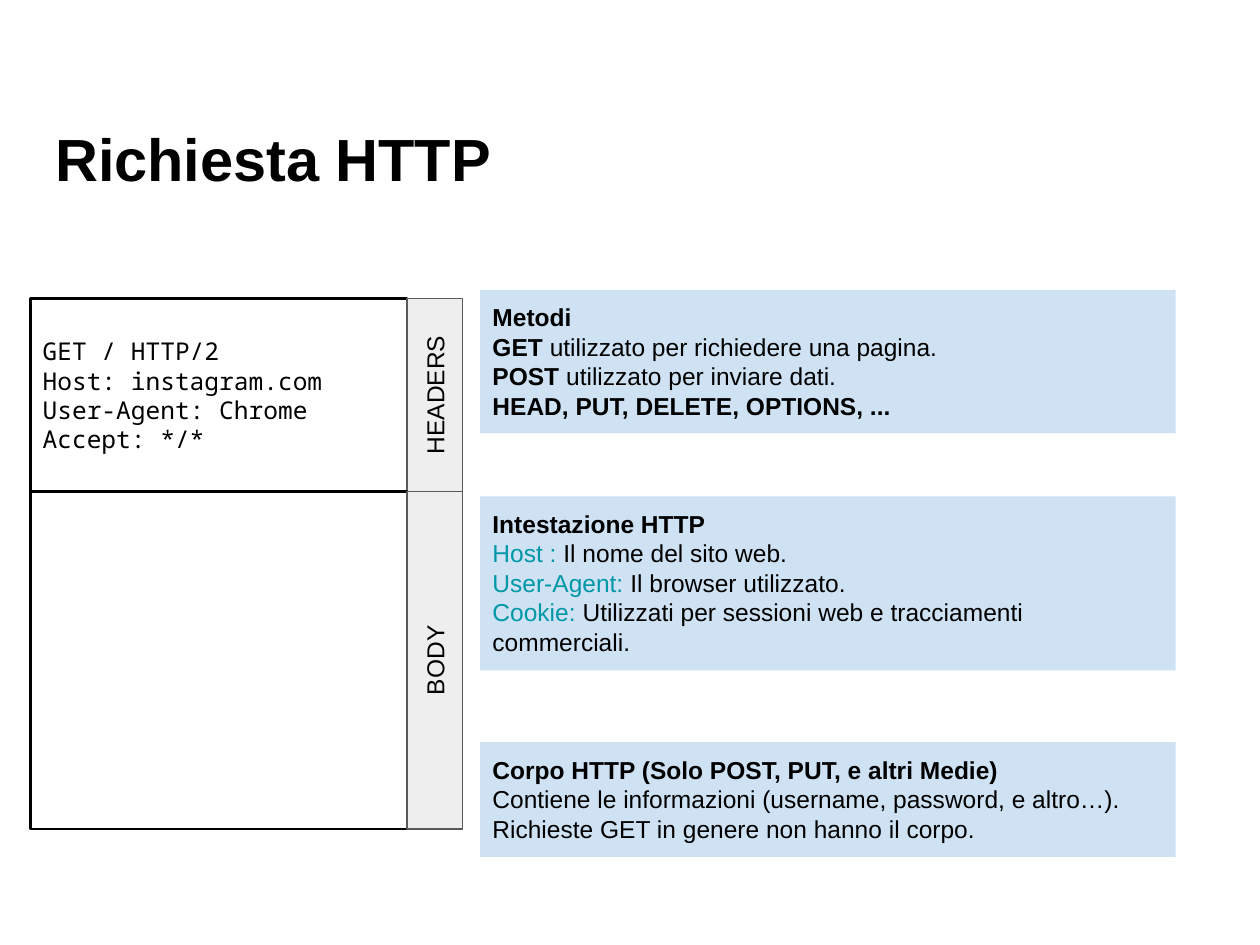
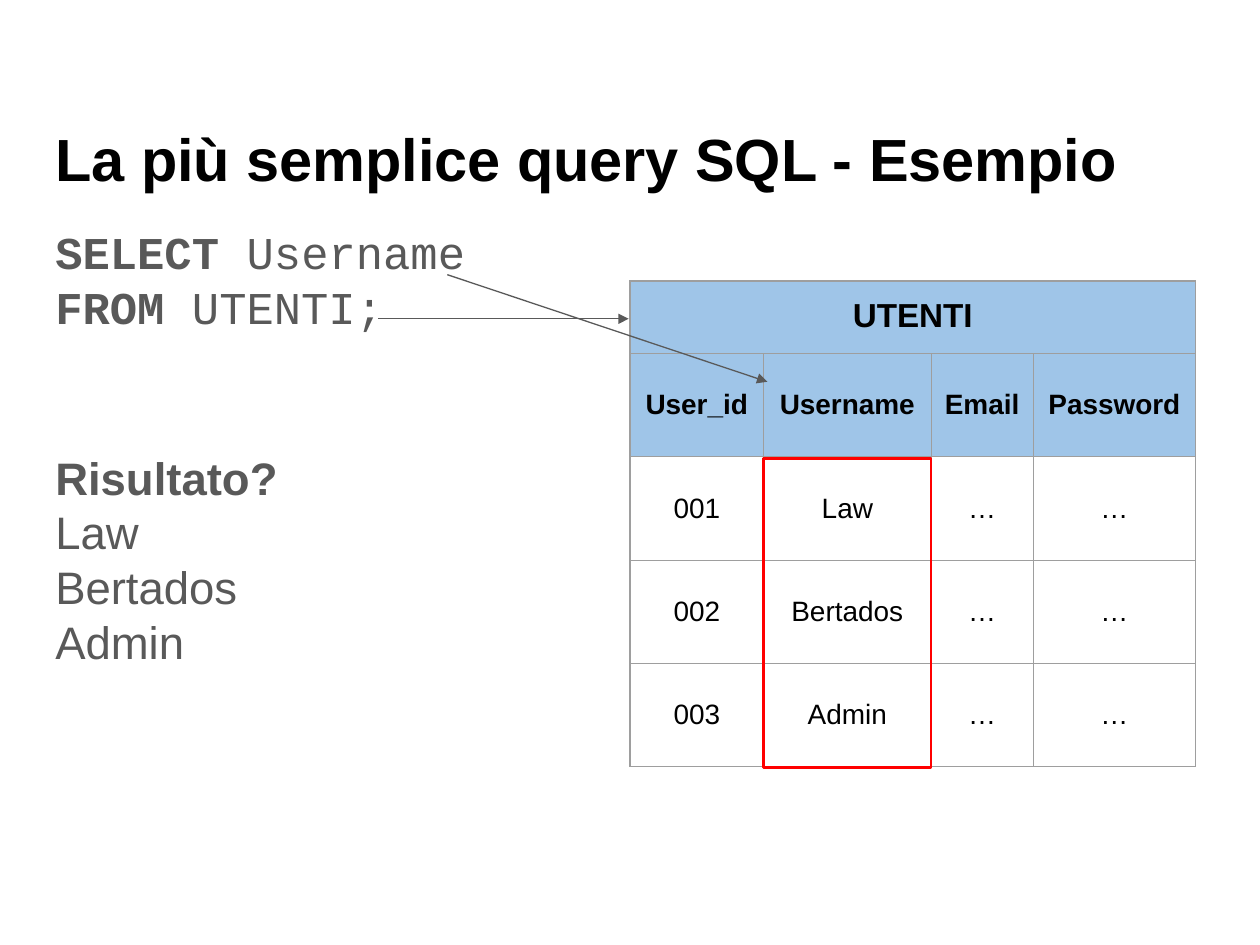
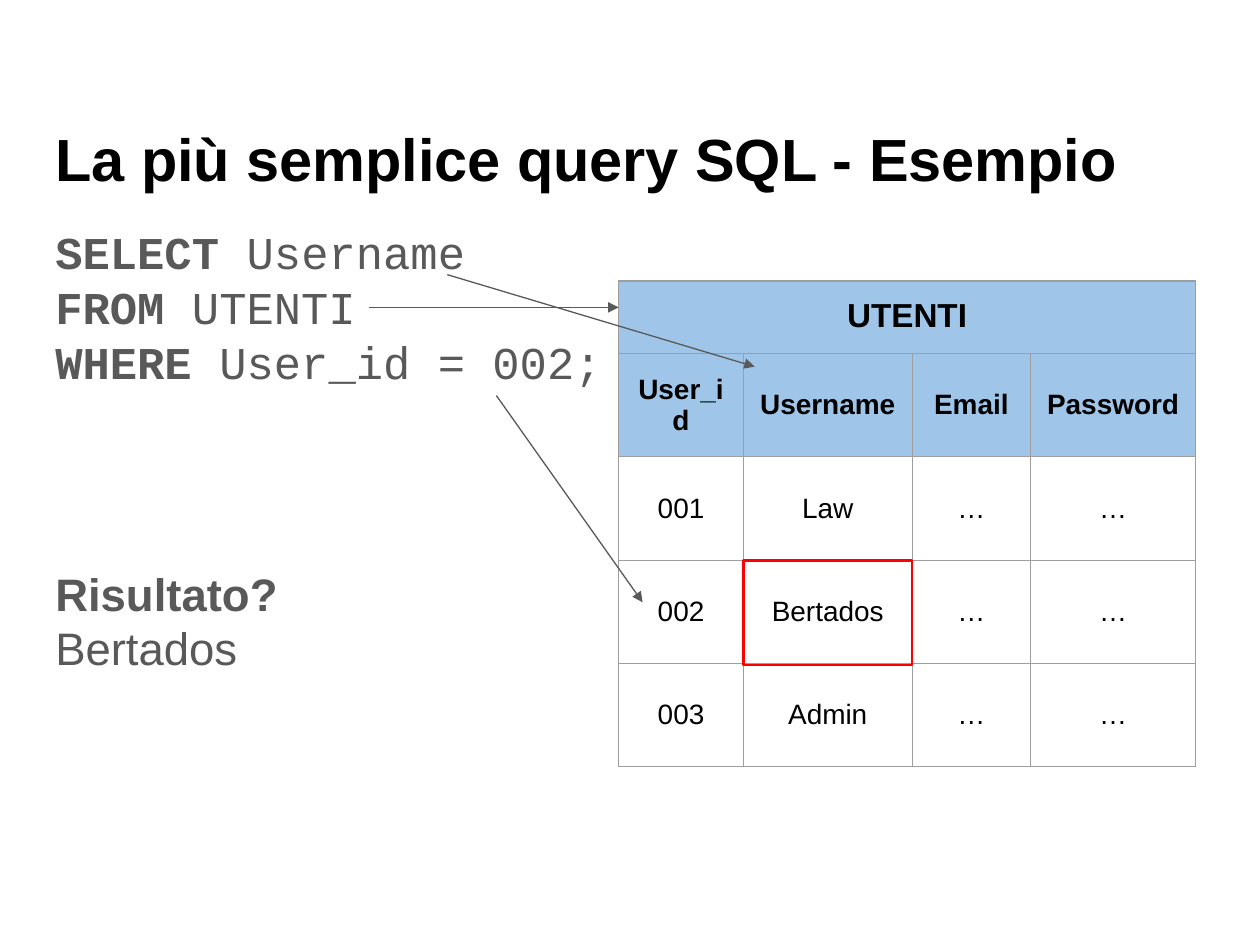
from lxml import etree
from pptx import Presentation
from pptx.dml.color import RGBColor
from pptx.enum.shapes import MSO_CONNECTOR, MSO_SHAPE
from pptx.enum.text import MSO_ANCHOR, PP_ALIGN
from pptx.oxml.ns import qn
from pptx.util import Inches, Pt

RECTANGLE = MSO_SHAPE.RECTANGLE
STRAIGHT = MSO_CONNECTOR.STRAIGHT
TOP, MIDDLE = MSO_ANCHOR.TOP, MSO_ANCHOR.MIDDLE
LEFT, CENTER = PP_ALIGN.LEFT, PP_ALIGN.CENTER

SANS, CODE, MONO = "Arial", "Courier New", "Noto Sans Mono"
BLACK, GRAY, RED, TEAL = "000000", "595959", "FF0000", "0097A7"
PALE_BLUE, HEADER_BLUE = "CFE2F3", "9FC5E8"
PALE_GRAY, BORDER_GRAY = "EEEEEE", "9E9E9E"
LINE_PITCH = 1.2
TEXT_LEFT, TEXT_WIDTH = 0.34, 4.72
QUERY_TITLE = "La più semplice query SQL - Esempio"
TABLE_TOP, ROW_HEIGHTS = 2.23, [0.53] + [0.82] * 4
USERS = [
    ["UTENTI", "", "", ""],
    ["User_id", "Username", "Email", "Password"],
    ["001", "Law", "…", "…"],
    ["002", "Bertados", "…", "…"],
    ["003", "Admin", "…", "…"],
]


def color(value):
    """Turn a hex string into a colour."""
    return RGBColor.from_string(value)


class Deck:
    """Holds the shared style and the current slide."""

    def __init__(self):
        """Start an empty 10 by 7.5 inch presentation."""
        self.presentation = Presentation()
        self.presentation.slide_width = Inches(10)
        self.presentation.slide_height = Inches(7.5)
        self.slide = None

    def new_slide(self, title):
        """Add a blank slide with its title."""
        self.slide = self.presentation.slides.add_slide(self.presentation.slide_layouts[6])
        self.text(TEXT_LEFT, 0.87, 9.32, 1.11, [[(title, True)]], 34)

    def style_run(self, run, size, font=SANS, bold=False, fill=BLACK):
        """Format one run."""
        run.font.name = font
        run.font.size = Pt(size)
        run.font.bold = bold
        run.font.color.rgb = color(fill)

    def fill_frame(self, frame, lines, size, font=SANS, fill=BLACK, anchor=TOP, align=LEFT):
        """Fill a text frame with lines of (text, bold, optional colour) runs."""
        frame.word_wrap = True
        frame.vertical_anchor = anchor
        frame.margin_left = frame.margin_right = Inches(0.1)
        frame.margin_top = frame.margin_bottom = Inches(0.1)
        for index, line in enumerate(lines):
            paragraph = frame.add_paragraph() if index else frame.paragraphs[0]
            paragraph.alignment = align
            paragraph.line_spacing = Pt(size * LINE_PITCH)
            for text, bold, *own_color in line:
                run = paragraph.add_run()
                run.text = text
                self.style_run(run, size, font, bold, own_color[0] if own_color else fill)

    def text(self, left, top, width, height, lines, size, font=SANS, fill=BLACK):
        """Add a text box."""
        box = self.slide.shapes.add_textbox(
            Inches(left), Inches(top), Inches(width), Inches(height))
        self.fill_frame(box.text_frame, lines, size, font, fill)

    def box(self, left, top, width, height, fill=None, line=None, weight=1.5):
        """Add a rectangle and return it."""
        shape = self.slide.shapes.add_shape(
            RECTANGLE, Inches(left), Inches(top), Inches(width), Inches(height))
        shape.shadow.inherit = False
        if fill:
            shape.fill.solid()
            shape.fill.fore_color.rgb = color(fill)
        else:
            shape.fill.background()
        if line:
            shape.line.color.rgb = color(line)
            shape.line.width = Pt(weight)
        else:
            shape.line.fill.background()
        return shape

    def note(self, top, height, lines):
        """Add a pale blue explanation box."""
        shape = self.box(3.81, top, 5.52, height, PALE_BLUE)
        self.fill_frame(shape.text_frame, lines, 14)

    def message_part(self, top, height, label, lines):
        """Add one part of the HTTP message with its upright label."""
        left, width, label_width = 0.24, 2.99, 0.44
        part = self.box(left, top, width, height, line=BLACK)
        self.fill_frame(part.text_frame, lines, 14, MONO, anchor=MIDDLE)
        center = left + width + label_width / 2
        tab = self.box(center - height / 2, top + (height - label_width) / 2,
                       height, label_width, PALE_GRAY, GRAY, 0.75)
        tab.rotation = 270
        self.fill_frame(tab.text_frame, [[(label, False)]], 14, anchor=MIDDLE, align=CENTER)

    def arrow(self, start, end):
        """Add a thin line with an arrowhead at its end."""
        connector = self.slide.shapes.add_connector(
            STRAIGHT, *(Inches(value) for value in (*start, *end)))
        connector.line.color.rgb = color(GRAY)
        connector.line.width = Pt(0.75)
        properties = connector._element.spPr
        etree.SubElement(properties.find(qn("a:ln")), qn("a:tailEnd"), type="triangle")
        etree.SubElement(properties, qn("a:effectLst"))

    def cell_borders(self, cell):
        """Draw the four borders of a cell."""
        properties = cell._tc.get_or_add_tcPr()
        for side in ("a:lnL", "a:lnR", "a:lnT", "a:lnB"):
            border = etree.SubElement(properties, qn(side), w=str(Pt(0.75)))
            solid = etree.SubElement(border, qn("a:solidFill"))
            etree.SubElement(solid, qn("a:srgbClr"), val=BORDER_GRAY)

    def users_table(self, left, widths):
        """Add the table of users."""
        table = self.slide.shapes.add_table(
            len(USERS), len(widths), Inches(left), Inches(TABLE_TOP),
            Inches(sum(widths)), Inches(sum(ROW_HEIGHTS))).table
        table.first_row = table.horz_banding = False
        for column, width in zip(table.columns, widths):
            column.width = Inches(width)
        for row, height in zip(table.rows, ROW_HEIGHTS):
            row.height = Inches(height)
        table.cell(0, 0).merge(table.cell(0, len(widths) - 1))
        for row_index, values in enumerate(USERS):
            header = row_index < 2
            for column_index, value in enumerate(values):
                cell = table.cell(row_index, column_index)
                self.cell_borders(cell)
                if header:
                    cell.fill.solid()
                    cell.fill.fore_color.rgb = color(HEADER_BLUE)
                else:
                    cell.fill.background()
                cell.margin_left = cell.margin_right = Inches(0.1)
                cell.margin_top = cell.margin_bottom = Inches(0.13)
                cell.vertical_anchor = MIDDLE if row_index else TOP
                cell.text_frame.text = value
                paragraph = cell.text_frame.paragraphs[0]
                paragraph.alignment = CENTER
                for run in paragraph.runs:
                    self.style_run(run, 16 if row_index else 19, bold=header)

    def query_slide(self, query, query_height, table_left, widths, highlight, arrows,
                    result_top, results):
        """Add a slide with a query, the users table and the result."""
        self.new_slide(QUERY_TITLE)
        lines = [[(keyword + " ", True), (rest, False)] for keyword, rest in query]
        self.text(TEXT_LEFT, 1.68, TEXT_WIDTH, query_height, lines, 26, CODE, GRAY)
        self.users_table(table_left, widths)
        top, height = highlight
        self.box(table_left + widths[0], top, widths[1], height, line=RED)
        for start, end in arrows:
            self.arrow(start, end)
        lines = [[("Risultato?", True)]] + [[(name, False)] for name in results]
        self.text(TEXT_LEFT, result_top, TEXT_WIDTH, 2.85, lines, 26, fill=GRAY)


def main():
    """Build the three slides."""
    deck = Deck()

    deck.new_slide("Richiesta HTTP")
    request = ["GET / HTTP/2", "Host: instagram.com", "User-Agent: Chrome", "Accept: */*"]
    deck.message_part(2.37, 1.53, "HEADERS", [[(line, False)] for line in request])
    deck.message_part(3.9, 2.68, "BODY", [])
    deck.note(2.3, 1.14, [
        [("Metodi", True)],
        [("GET ", True), ("utilizzato per richiedere una pagina.", False)],
        [("POST ", True), ("utilizzato per inviare dati.", False)],
        [("HEAD, PUT, DELETE, OPTIONS, ...", True)],
    ])
    deck.note(3.94, 1.38, [
        [("Intestazione HTTP", True)],
        [("Host :", False, TEAL), (" Il nome del sito web.", False)],
        [("User-Agent: ", False, TEAL), ("Il browser utilizzato.", False)],
        [("Cookie:", False, TEAL),
         (" Utilizzati per sessioni web e tracciamenti commerciali.", False)],
    ])
    deck.note(5.89, 0.91, [
        [("Corpo HTTP (Solo POST, PUT, e altri Medie)", True)],
        [("Contiene le informazioni (username, password, e altro…).", False)],
        [("Richieste GET in genere non hanno il corpo.", False)],
    ])

    deck.query_slide(
        query=[("SELECT", "Username"), ("FROM", "UTENTI;")], query_height=1.79,
        table_left=5, widths=[1.06, 1.33, 0.81, 1.29], highlight=(3.64, 2.45),
        arrows=[((3, 2.53), (4.99, 2.53)), ((3.55, 2.18), (6.09, 3.03))],
        result_top=3.47, results=["Law", "Bertados", "Admin"])

    deck.query_slide(
        query=[("SELECT", "Username"), ("FROM", "UTENTI"), ("WHERE", "User_id = 002;")],
        query_height=2.02,
        table_left=4.91, widths=[0.99, 1.34, 0.94, 1.31], highlight=(4.45, 0.83),
        arrows=[((2.93, 2.44), (4.91, 2.44)), ((3.55, 2.18), (5.99, 2.91)),
                ((3.94, 3.14), (5.1, 4.78))],
        result_top=4.39, results=["Bertados"])

    deck.presentation.save("out.pptx")


if __name__ == "__main__":
    main()
